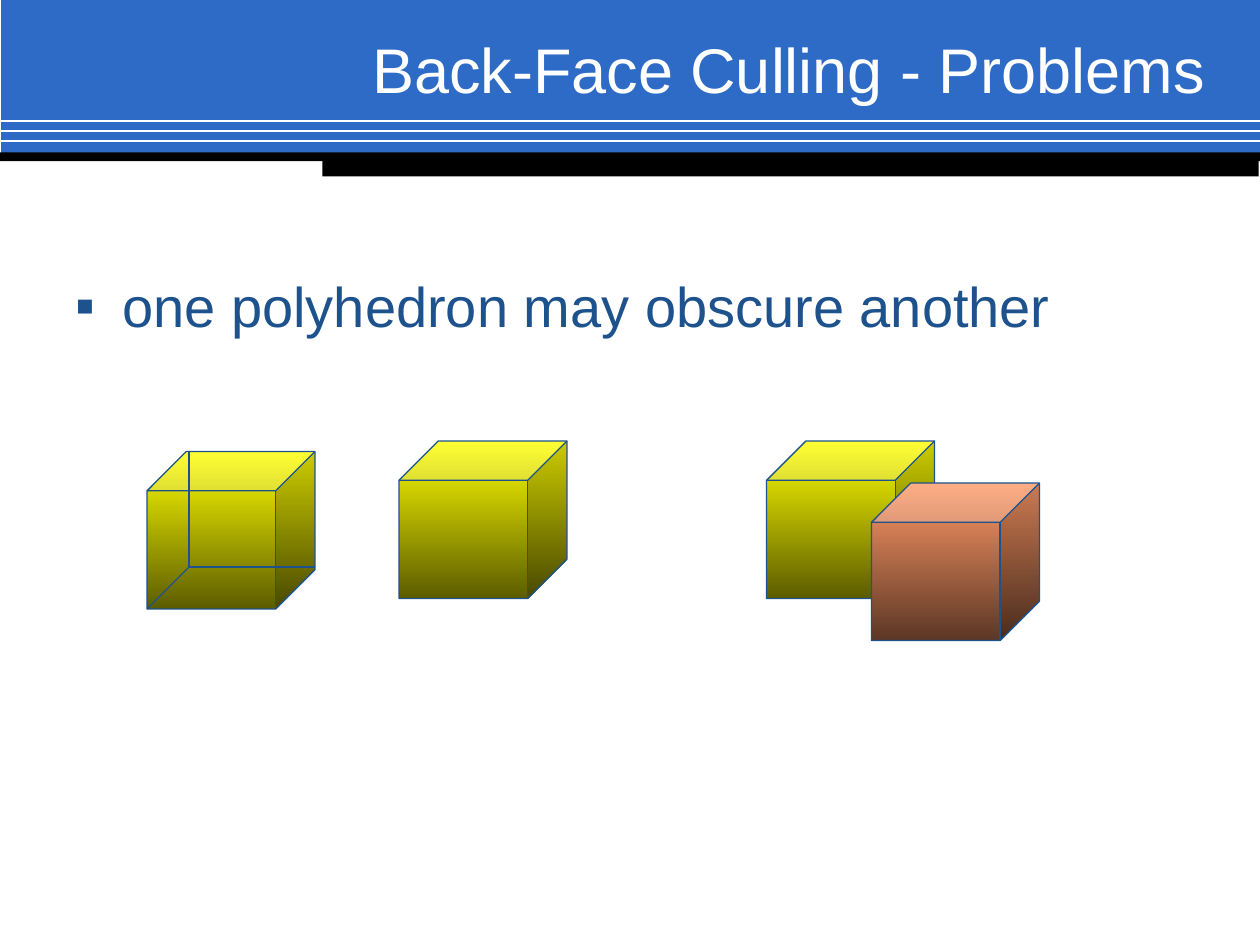
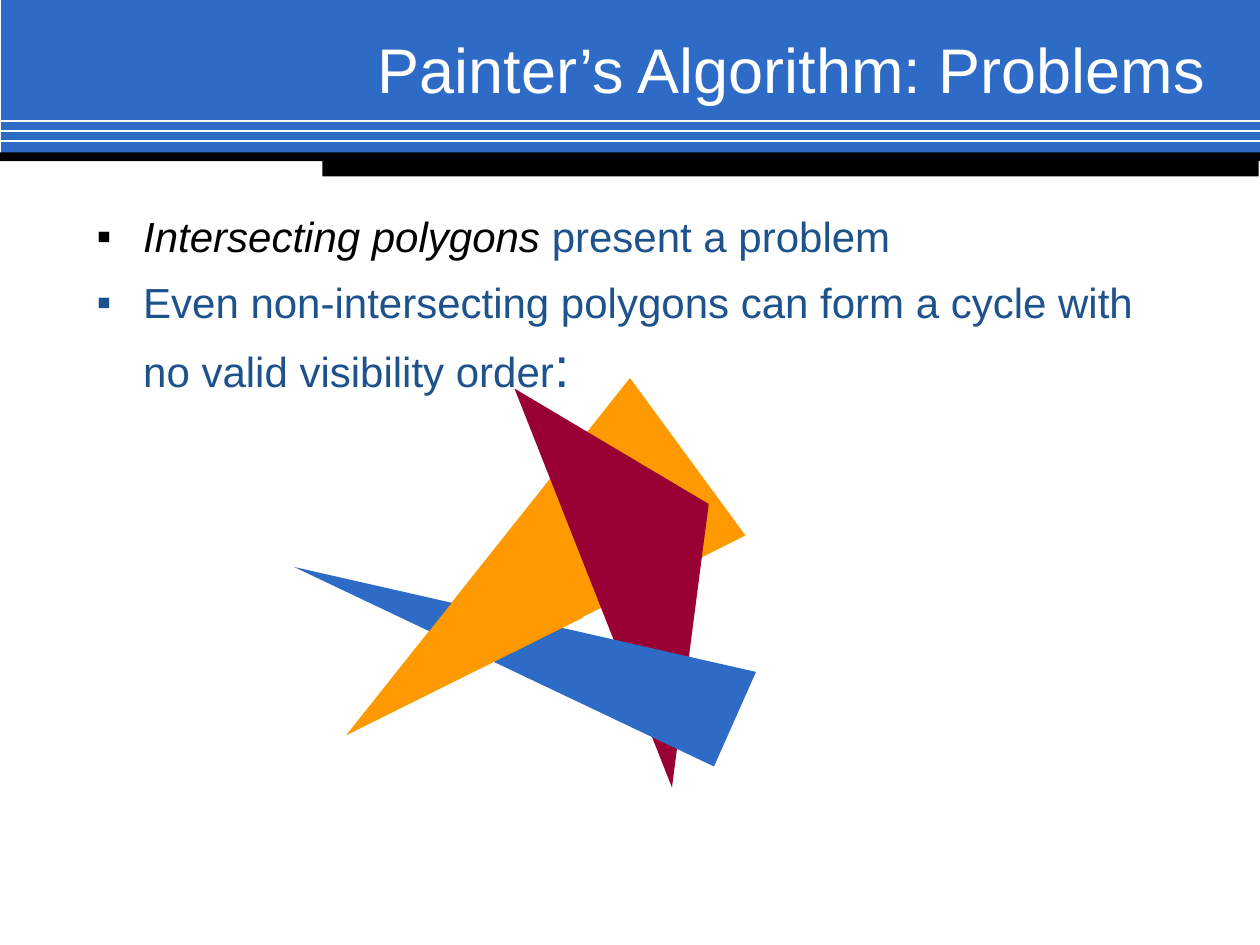
"""Two slides on hidden surface problems: culled cubes and a polygon cycle."""
from lxml import etree
from pptx import Presentation
from pptx.dml.color import RGBColor
from pptx.enum.shapes import MSO_CONNECTOR, MSO_SHAPE
from pptx.enum.text import MSO_ANCHOR, MSO_AUTO_SIZE, PP_ALIGN
from pptx.oxml.ns import qn
from pptx.util import Pt

RECT, CUBE, LINE = MSO_SHAPE.RECTANGLE, MSO_SHAPE.CUBE, MSO_CONNECTOR.STRAIGHT
MID, TOP, RIGHT = MSO_ANCHOR.MIDDLE, MSO_ANCHOR.TOP, PP_ALIGN.RIGHT
FIXED = MSO_AUTO_SIZE.NONE

HUES = {"blue": "2D6BC7", "navy": "1D528D", "black": "000000", "white": "FFFFFF",
        "yellow": "FFFF00", "olive": "5C5C00", "peach": "FF9966", "brown": "5C3725",
        "orange": "FF9900", "wine": "990033"}
RGB = {name: RGBColor.from_string(code) for name, code in HUES.items()}


def assign(target, **values):
    """Set each given format value on the target."""
    for name, value in values.items():
        setattr(target, name, value)


def wire(slide, ends, hue, width):
    """Draw one plain straight line and return it."""
    line = slide.shapes.add_connector(LINE, *map(Pt, ends))
    line.line.color.rgb = RGB[hue]
    line.line.width = Pt(width)
    etree.SubElement(line.element.spPr, qn("a:effectLst"))
    return line


deck = Presentation()
assign(deck, slide_width=Pt(720), slide_height=Pt(540))

pages = [
    {"title": "Back-Face Culling - Problems", "box": (36, 102.24, 648, 396),
     "inset": 52.8, "lead": 1.0,
     "items": [[("one polyhedron may obscure another", 32, "navy", False)]]},
    {"title": "Painter\u2019s Algorithm: Problems", "box": (48, 114, 624, 354),
     "inset": 4.4, "lead": 1.07,
     "items": [[("Intersecting polygons", 24, "black", True),
                (" present a problem", 24, "navy", False)],
               [("Even non-intersecting polygons can form a cycle with "
                 "no valid visibility order", 24, "navy", False),
                (":", 32, "navy", False)]]},
]

slides = []
for page in pages:
    slide = deck.slides.add_slide(deck.slide_layouts[1])
    slides.append(slide)
    title, body = slide.placeholders
    for holder, box in ((title, (198, 18, 498, 42)), (body, page["box"])):
        for side, size in zip(("left", "top", "width", "height"), box):
            setattr(holder, side, Pt(size))
        assign(holder.text_frame, auto_size=FIXED, word_wrap=True,
               margin_left=Pt(7.2), margin_right=Pt(7.2))
    title.text_frame.text = page["title"]
    title.text_frame.vertical_anchor = MID
    head = title.text_frame.paragraphs[0]
    head.alignment = RIGHT
    assign(head.runs[0].font, name="Arial", size=Pt(36))
    head.runs[0].font.color.rgb = RGB["white"]

    frame = body.text_frame
    assign(frame, vertical_anchor=TOP, margin_top=Pt(page["inset"]))
    for rank, item in enumerate(page["items"]):
        para = frame.add_paragraph() if rank else frame.paragraphs[0]
        assign(para, line_spacing=page["lead"], space_before=Pt(7 if rank else 0))
        for text, size, hue, slant in item:
            run = para.add_run()
            run.text = text
            assign(run.font, name="Arial", size=Pt(size), italic=slant)
            run.font.color.rgb = RGB[hue]
        props = para._p.get_or_add_pPr()
        props.set("marL", str(Pt(26.64)))
        props.set("indent", str(-Pt(26.64)))
        tint = etree.SubElement(props, qn("a:buClr"))
        etree.SubElement(tint, qn("a:srgbClr"), val=HUES[item[0][2]])
        etree.SubElement(props, qn("a:buFont"), typeface="Arial")
        etree.SubElement(props, qn("a:buChar"), char="\u25aa")

first, second = slides

bands = []
for hue, box in (("blue", (0.72, 0, 719.28, 88.56)),
                 ("black", (0, 87.12, 720, 5.04)),
                 ("black", (184.32, 89.28, 534.96, 11.52))):
    band = first.shapes.add_shape(RECT, *map(Pt, box))
    band.shadow.inherit = False
    band.fill.solid()
    band.fill.fore_color.rgb = RGB[hue]
    band.line.fill.background()
    bands.append(band)
bands += [wire(first, (0, 69.12 + 5.76 * step, 720, 69.12 + 5.76 * step), "white", 0.99)
          for step in range(3)]
tree = deck.slide_master.shapes.element
for rank, band in enumerate(bands):
    band.element.xpath(".//p:cNvPr")[0].set("id", str(100 + rank))
    tree.append(band.element)

for left, top, light, dark in ((84, 258, "yellow", "olive"), (228, 252, "yellow", "olive"),
                               (438, 252, "yellow", "olive"), (498, 276, "peach", "brown")):
    cube = first.shapes.add_shape(CUBE, Pt(left), Pt(top), Pt(96), Pt(90))
    cube.shadow.inherit = False
    cube.adjustments[0] = 0.25
    cube.fill.gradient()
    cube.fill.gradient_angle = 270
    for stop, hue in zip(cube.fill.gradient_stops, (light, dark)):
        stop.color.rgb = RGB[hue]
    cube.line.color.rgb = RGB["navy"]
    cube.line.width = Pt(0.74)

for end in ((108, 258), (84, 348), (180, 324)):
    wire(first, (108, 324, *end), "navy", 0.74)

for hue, start, *rest in (
        ("orange", (360, 216), (426, 306), (198, 420)),
        ("wine", (294, 222), (405, 288), (384, 450)),
        ("blue", (432, 384), (408, 438), (168, 324)),
        ("orange", (198, 420), (296, 297), (333, 353))):
    pen = second.shapes.build_freeform(*map(Pt, start))
    pen.add_line_segments([(Pt(x), Pt(y)) for x, y in rest], close=True)
    blade = pen.convert_to_shape()
    blade.shadow.inherit = False
    blade.fill.solid()
    blade.fill.fore_color.rgb = RGB[hue]
    blade.line.fill.background()

deck.save("out.pptx")
